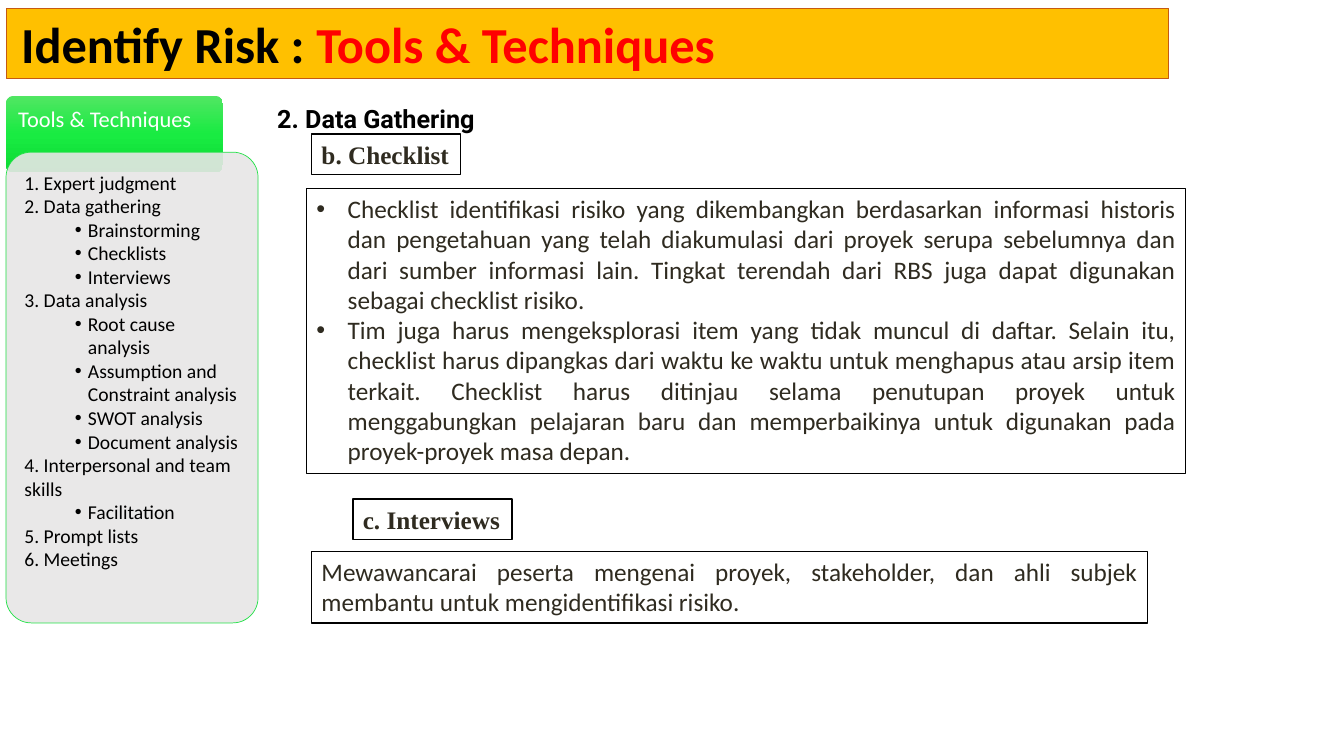
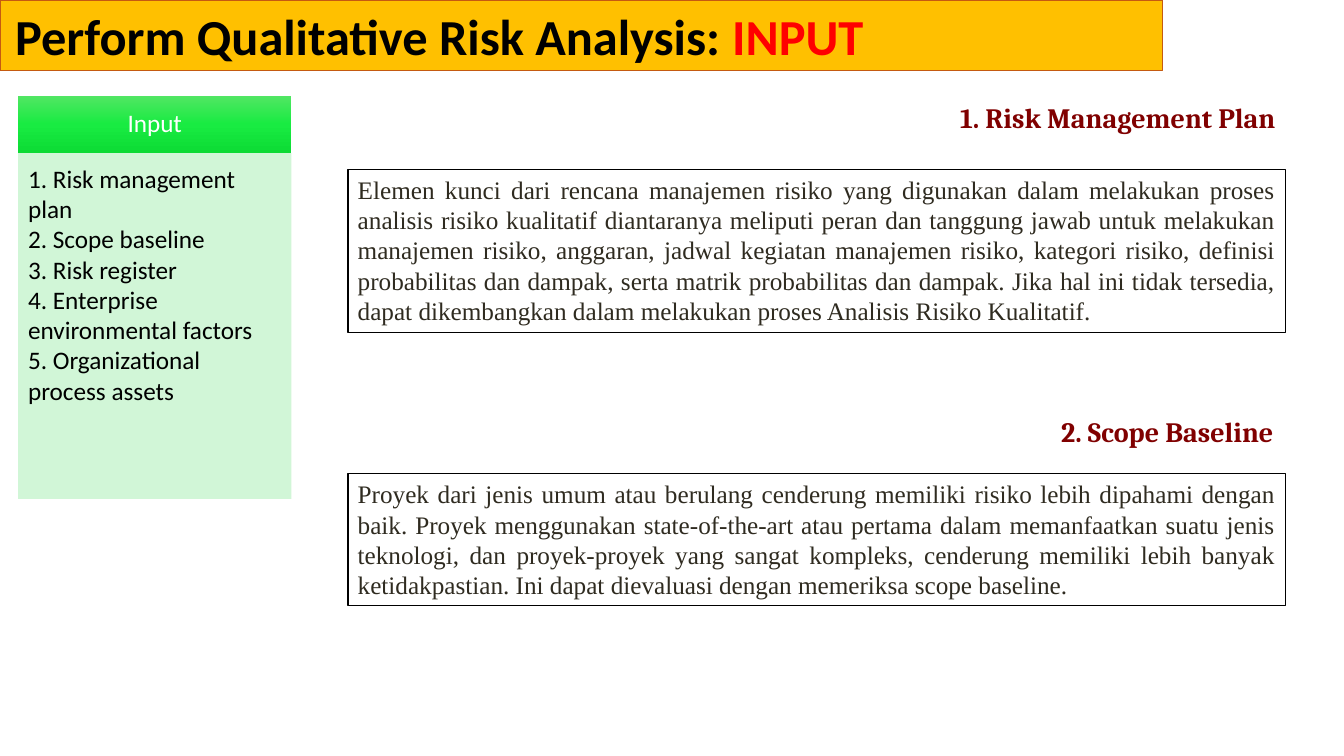
from copy import deepcopy
from lxml.etree import SubElement as Sub
from pptx import Presentation
from pptx.dml.color import RGBColor
from pptx.enum.shapes import MSO_SHAPE as Kind
from pptx.enum.text import MSO_ANCHOR as Anchor, MSO_AUTO_SIZE as Fit, PP_ALIGN as Align
from pptx.oxml.ns import qn
from pptx.util import Inches, Pt

hue = RGBColor.from_string
BLACK, WHITE, RED, INK, MAROON = "000000", "FFFFFF", "FF0000", "2F2B20", "800000"
GOLD, RUST = "FFC000", "C55A11"
GREENS = ((0, "51E663"), (0.5, "19EB42"), (1, "0CDB34"))
SANS, SERIF = "Calibri", "Times New Roman"


def write(shape, lines, size=18, font=SANS, color=INK, bold=False, align=Align.LEFT,
          pad=(0.1, 0.05, 0.1, 0.05), anchor=Anchor.TOP, wrap=True, space=None,
          left=0.31, hang=0.31):
    frame = shape.text_frame
    frame.word_wrap, frame.auto_size, frame.vertical_anchor = wrap, Fit.NONE, anchor
    frame.margin_left, frame.margin_top, frame.margin_right, frame.margin_bottom = map(Inches, pad)
    for i, line in enumerate(lines):
        para = frame.add_paragraph() if i else frame.paragraphs[0]
        para.alignment = align
        if space:
            para.line_spacing = space
        parts = [(line, color)] if isinstance(line, str) else line
        if parts[0][0].startswith("• "):
            parts = [(parts[0][0][2:], color)]
            props = para._p.get_or_add_pPr()
            props.set("marL", str(Inches(left)))
            props.set("indent", str(-Inches(hang)))
            Sub(props, qn("a:buFont"), typeface="Arial")
            Sub(props, qn("a:buChar"), char="•")
        for text, tint in parts:
            for j, piece in enumerate(text.split("\n")):
                if j:
                    para.add_line_break()
                run = para.add_run()
                run.text = piece
                run.font.size, run.font.name, run.font.bold = Pt(size), font, bold
                run.font.color.rgb = hue(tint)


def box(slide, at, fill=WHITE, line=BLACK, width=1, kind=Kind.RECTANGLE, alpha=None):
    shape = slide.shapes.add_shape(kind, *map(Inches, at))
    shape.shadow.inherit = False
    if isinstance(fill, str):
        shape.fill.solid()
        shape.fill.fore_color.rgb = hue(fill)
        if alpha:
            tone = shape._element.spPr.find(qn("a:solidFill"))[0]
            Sub(tone, qn("a:alpha"), val=str(alpha * 1000))
    else:
        shape.fill.gradient()
        shape.fill.gradient_angle = 270
        stops = shape._element.spPr.find(qn("a:gradFill")).find(qn("a:gsLst"))
        stops.insert(1, deepcopy(stops[0]))
        for stop, (spot, tint) in zip(shape.fill.gradient_stops, fill):
            stop.position = spot
            stop.color.rgb = hue(tint)
    if line:
        shape.line.color.rgb = hue(line)
        shape.line.width = Pt(width)
    else:
        shape.line.fill.background()
    return shape


deck = Presentation()
deck.slide_width, deck.slide_height = Inches(13.33), Inches(7.5)
pages = []
for lead, topic, x, y in (
    ("Identify Risk : ", "Tools & Techniques", 0.06, 0.08),
    ("Perform Qualitative Risk Analysis: ", "INPUT", 0, 0),
):
    page = deck.slides.add_slide(deck.slide_layouts[5])
    title = page.shapes.title
    title.left, title.top = Inches(x), Inches(y)
    title.width, title.height = Inches(11.53), Inches(0.7)
    title.fill.solid()
    title.fill.fore_color.rgb = hue(GOLD)
    title.line.color.rgb = hue(RUST)
    title.line.width = Pt(0.75)
    write(title, [[(lead, BLACK), (topic, RED)]], size=36, bold=True,
          pad=(0.15, 0.05, 0.09, 0.05))
    pages.append(page)
tools, inputs = pages

tab = box(tools, (0.06, 0.95, 2.15, 0.76), GREENS, None, kind=Kind.ROUNDED_RECTANGLE)
tab.adjustments[0] = 0.1
write(tab, ["Tools & Techniques"], size=16, color=WHITE, space=0.9, pad=(0.1, 0.1, 0.1, 0.3))

panel = box(tools, (0.06, 1.51, 2.5, 4.67), "E7E6E6", "23E148", 0.5,
            Kind.ROUNDED_RECTANGLE, 90)
panel.adjustments[0] = 0.1
write(panel, [
    "1. Expert judgment",
    "2. Data gathering",
    "• Brainstorming",
    "• Checklists",
    "• Interviews",
    "3. Data analysis",
    "• Root cause\nanalysis",
    "• Assumption and\nConstraint analysis",
    "• SWOT analysis",
    "• Document analysis",
    "4. Interpersonal and team skills",
    "• Facilitation",
    "5. Prompt lists",
    "6. Meetings",
], size=14, color=BLACK, pad=(0.11, 0.11, 0.08, 0.11), left=0.63, hang=0.13)

head = tools.shapes.add_textbox(*map(Inches, (2.65, 0.98, 2.29, 0.4)))
write(head, ["2. Data Gathering"], font="Roboto", color=BLACK, bold=True)

for label, at in (
    ("b. Checklist", (3.09, 1.33, 1.48, 0.4)),
    ("c. Interviews", (3.5, 4.95, 1.58, 0.4)),
):
    write(box(tools, at), [label], font=SERIF, bold=True, wrap=False)

write(box(tools, (3.04, 1.87, 8.72, 2.83)), [
    "• Checklist identifikasi risiko yang dikembangkan berdasarkan informasi historis dan "
    "pengetahuan yang telah diakumulasi dari proyek serupa sebelumnya dan dari sumber "
    "informasi lain. Tingkat terendah dari RBS juga dapat digunakan sebagai checklist risiko.",
    "• Tim juga harus mengeksplorasi item yang tidak muncul di daftar. Selain itu, checklist "
    "harus dipangkas dari waktu ke waktu untuk menghapus atau arsip item terkait. Checklist "
    "harus ditinjau selama penutupan proyek untuk menggabungkan pelajaran baru dan "
    "memperbaikinya untuk digunakan pada proyek-proyek masa depan.",
], align=Align.JUSTIFY)
write(box(tools, (3.09, 5.47, 8.29, 0.71)), [
    "Mewawancarai peserta mengenai proyek, stakeholder, dan ahli subjek membantu untuk "
    "mengidentifikasi risiko.",
], align=Align.JUSTIFY)

write(box(inputs, (0.18, 0.95, 2.71, 0.57), GREENS, None), ["Input"], color=WHITE,
      align=Align.CENTER, anchor=Anchor.MIDDLE, space=0.9)
write(box(inputs, (0.18, 1.52, 2.71, 3.43), "CCF6D3", None, alpha=90), [
    "1. Risk management plan",
    "2. Scope baseline",
    "3. Risk register",
    "4. Enterprise environmental factors",
    "5. Organizational process assets",
], color=BLACK, pad=(0.1, 0.1, 0.14, 0.16))

for label, spot, text, at in (
    ("1. Risk Management Plan", (8.78, 0.95, 3.97, 0.44),
     "Elemen kunci dari rencana manajemen risiko yang digunakan dalam melakukan proses "
     "analisis risiko kualitatif diantaranya meliputi peran dan tanggung jawab untuk melakukan "
     "manajemen risiko, anggaran, jadwal kegiatan manajemen risiko, kategori risiko, definisi "
     "probabilitas dan dampak, serta matrik probabilitas dan dampak. Jika hal ini tidak "
     "tersedia, dapat dikembangkan dalam melakukan proses Analisis Risiko Kualitatif.",
     (3.45, 1.68, 9.3, 1.62)),
    ("2. Scope Baseline", (9.38, 4.06, 3.35, 0.44),
     "Proyek dari jenis umum atau berulang cenderung memiliki risiko lebih dipahami dengan "
     "baik. Proyek menggunakan state-of-the-art atau pertama dalam memanfaatkan suatu jenis "
     "teknologi, dan proyek-proyek yang sangat kompleks, cenderung memiliki lebih banyak "
     "ketidakpastian. Ini dapat dievaluasi dengan memeriksa scope baseline.",
     (3.45, 4.7, 9.3, 1.31)),
):
    head = inputs.shapes.add_textbox(*map(Inches, spot))
    write(head, [label], size=20, font="Cambria", color=MAROON, bold=True, align=Align.RIGHT)
    write(box(inputs, at), [text], font=SERIF, align=Align.JUSTIFY)

deck.save("out.pptx")
